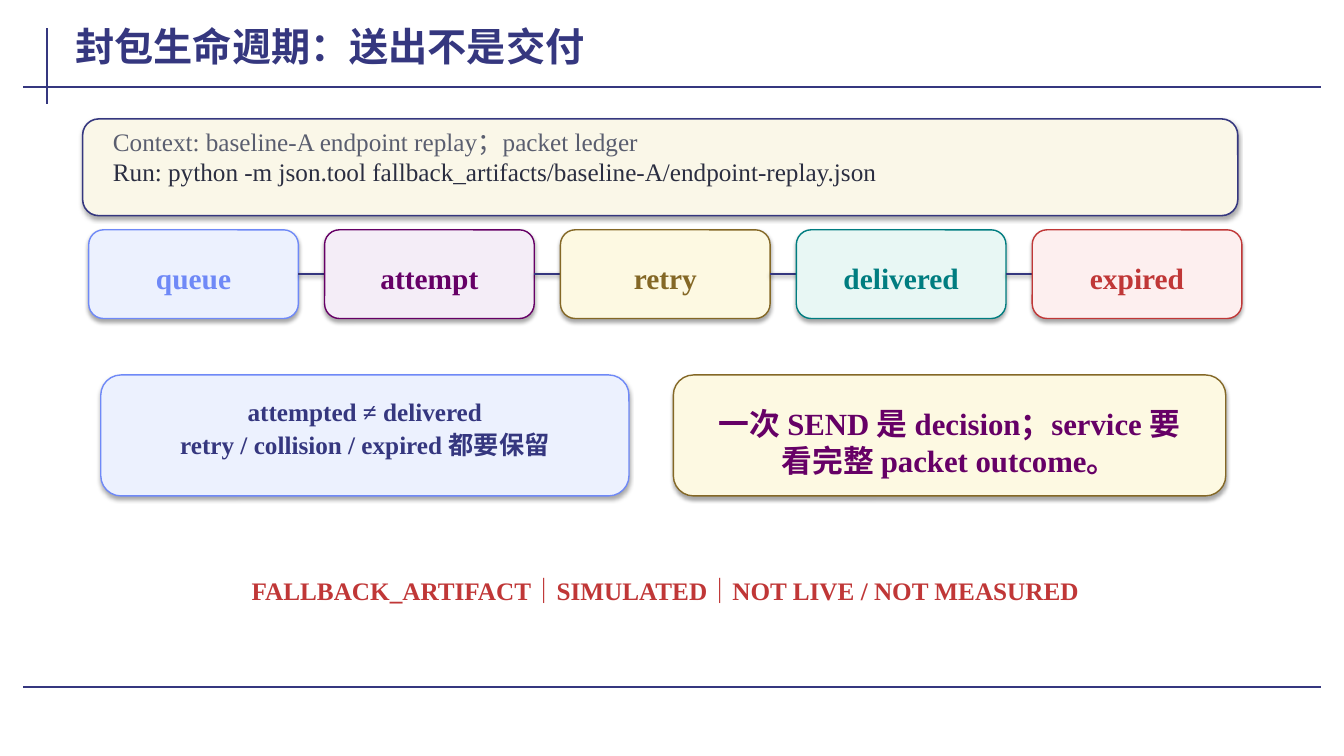
from dataclasses import dataclass

from lxml.etree import SubElement
from pptx import Presentation
from pptx.dml.color import RGBColor
from pptx.enum.shapes import MSO_CONNECTOR as Connector, MSO_SHAPE as Shape
from pptx.enum.text import MSO_ANCHOR as Anchor, MSO_AUTO_SIZE as AutoSize, PP_ALIGN as Align
from pptx.oxml.ns import qn
from pptx.util import Inches, Pt


@dataclass(frozen=True)
class Theme:
    font: str = "Times New Roman"
    navy: str = "35377F"
    muted: str = "5A5E6F"
    ink: str = "2B2E41"
    blue: str = "6F89F7"
    purple: str = "660066"
    gold: str = "846826"
    teal: str = "007D80"
    red: str = "C03737"
    cream: str = "FAF7E8"
    pale_blue: str = "ECF1FE"
    pale_purple: str = "F4EDF7"
    pale_gold: str = "FDF9E2"
    pale_teal: str = "E8F7F4"
    pale_red: str = "FDEFEF"
    title_size: int = 28
    body_size: int = 18
    stage_size: int = 21
    takeaway_size: int = 22
    rule_width: float = 1.5


THEME = Theme()
COLUMN = ROW = Inches(0.1)
SLIDE_COLUMNS, SLIDE_ROWS = 133.33, 75

STAGES = [
    ("queue", THEME.pale_blue, THEME.blue),
    ("attempt", THEME.pale_purple, THEME.purple),
    ("retry", THEME.pale_gold, THEME.gold),
    ("delivered", THEME.pale_teal, THEME.teal),
    ("expired", THEME.pale_red, THEME.red),
]
STAGE_LEFT, STAGE_TOP, STAGE_WIDTH, STAGE_HEIGHT = 8.8, 22.8, 20.8, 8.8
STAGE_PITCH, LINK_LENGTH, LABEL_MARGIN = 23.4, 2.8, 0.8


def place(column, row, width, height):
    return [round(n * unit) for n, unit in
            zip((column, row, width, height), (COLUMN, ROW, COLUMN, ROW))]


def set_all(target, values):
    for attribute, value in values.items():
        setattr(target, attribute, value)


def cast_shadow(element, opacity, distance):
    effects = element.spPr.find(qn("a:effectLst"))
    if effects is None:
        effects = SubElement(element.spPr, qn("a:effectLst"))
    outer = SubElement(effects, qn("a:outerShdw"), blurRad=str(Pt(3.1)),
                       dist=str(Pt(distance)), dir="5400000", rotWithShape="0")
    tint = SubElement(outer, qn("a:srgbClr"), val="000000")
    SubElement(tint, qn("a:alpha"), val=str(opacity * 1000))


def add_rule(slide, start, end, shadowed=False):
    rule = slide.shapes.add_connector(
        Connector.STRAIGHT, *place(*start, *end))
    rule.line.color.rgb = RGBColor.from_string(THEME.navy)
    rule.line.width = Pt(THEME.rule_width)
    if shadowed:
        cast_shadow(rule._element, 38, 1.6)
    else:
        SubElement(rule._element.spPr, qn("a:effectLst"))


def add_card(slide, area, fill, outline, outline_width=1):
    card = slide.shapes.add_shape(Shape.ROUNDED_RECTANGLE, *place(*area))
    card.fill.solid()
    card.fill.fore_color.rgb = RGBColor.from_string(fill)
    card.line.color.rgb = RGBColor.from_string(outline)
    card.line.width = Pt(outline_width)
    card.shadow.inherit = False
    cast_shadow(card._element, 35, 1.8)


def add_text(slide, area, lines, size, color, bold=True, align=Align.CENTER,
             auto_size=AutoSize.SHAPE_TO_FIT_TEXT):
    frame = slide.shapes.add_textbox(*place(*area)).text_frame
    set_all(frame, {
        "word_wrap": True, "auto_size": auto_size,
        "vertical_anchor": Anchor.TOP,
        "margin_left": Inches(0.08), "margin_right": Inches(0.08),
        "margin_top": Inches(0.03), "margin_bottom": Inches(0.02),
    })
    frame.text = "\n".join(lines)
    for paragraph in frame.paragraphs:
        set_all(paragraph, {"alignment": align, "space_after": Pt(2)})
        for run in paragraph.runs:
            set_all(run.font, {"name": THEME.font, "size": Pt(size), "bold": bold})
            run.font.color.rgb = RGBColor.from_string(color)


def add_header(slide):
    add_rule(slide, (4.7, 2.8), (4.7, 10.3))
    for row in (8.6, 68.2):
        add_rule(slide, (2.3, row), (131, row))
    add_text(slide, (6.7, 1.9, 120, 6.3), ["封包生命週期：送出不是交付"],
             THEME.title_size, THEME.navy, align=Align.LEFT, auto_size=AutoSize.NONE)


def add_context(slide):
    add_card(slide, (8.2, 11.8, 114.6, 9.6), THEME.cream, THEME.navy, 1.1)
    for row, height, line, color in (
        (12.2, 2.6, "Context: baseline-A endpoint replay；packet ledger", THEME.muted),
        (15.2, 5.8, "Run: python -m json.tool "
                    "fallback_artifacts/baseline-A/endpoint-replay.json", THEME.ink),
    ):
        add_text(slide, (10.4, row, 109.8, height), [line], THEME.body_size,
                 color, bold=False, align=Align.LEFT)


def add_lifecycle(slide):
    for index, (label, fill, accent) in enumerate(STAGES):
        left = STAGE_LEFT + index * STAGE_PITCH
        add_card(slide, (left, STAGE_TOP, STAGE_WIDTH, STAGE_HEIGHT), fill, accent)
        add_text(slide, (left + LABEL_MARGIN, STAGE_TOP + 2.7,
                         STAGE_WIDTH - 2 * LABEL_MARGIN, 3.4),
                 [label], THEME.stage_size, accent)
        if index < len(STAGES) - 1:
            right, middle = left + STAGE_WIDTH, STAGE_TOP + STAGE_HEIGHT / 2
            add_rule(slide, (right, middle), (right + LINK_LENGTH, middle), shadowed=True)


def add_conclusions(slide):
    add_card(slide, (10, 37.2, 52.4, 12), THEME.pale_blue, THEME.blue)
    add_text(slide, (12.4, 39, 47.6, 9.6),
             ["attempted ≠ delivered", "retry / collision / expired 都要保留"],
             THEME.body_size, THEME.navy)
    add_card(slide, (66.8, 37.2, 54.8, 12), THEME.pale_gold, THEME.gold)
    add_text(slide, (69.4, 39.9, 49.6, 6.4),
             ["一次 SEND 是 decision；service 要看完整 packet outcome。"],
             THEME.takeaway_size, THEME.purple)
    add_text(slide, (9.2, 56.8, 113.6, 3),
             ["FALLBACK_ARTIFACT｜SIMULATED｜NOT LIVE / NOT MEASURED"],
             THEME.body_size, THEME.red)


def main():
    deck = Presentation()
    deck.slide_width = round(SLIDE_COLUMNS * COLUMN)
    deck.slide_height = SLIDE_ROWS * ROW
    slide = deck.slides.add_slide(deck.slide_layouts[6])
    add_header(slide)
    add_context(slide)
    add_lifecycle(slide)
    add_conclusions(slide)
    deck.save("out.pptx")


if __name__ == "__main__":
    main()
